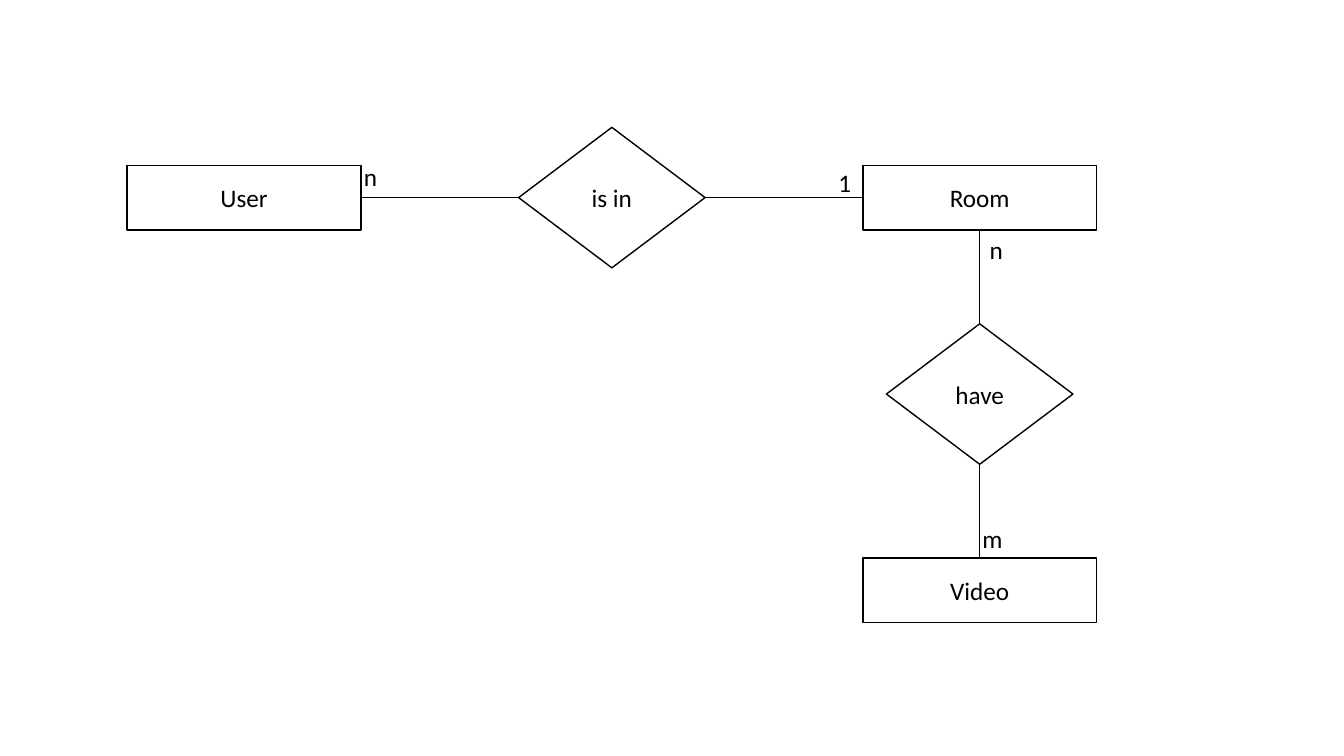
from dataclasses import dataclass

from lxml.etree import SubElement
from pptx import Presentation
from pptx.dml.color import RGBColor
from pptx.enum.shapes import MSO_CONNECTOR, MSO_SHAPE
from pptx.enum.text import MSO_ANCHOR, PP_ALIGN
from pptx.oxml.ns import qn
from pptx.shapes.autoshape import Shape
from pptx.shapes.shapetree import SlideShapes
from pptx.text.text import TextFrame
from pptx.util import Cm, Pt

BLACK = RGBColor(0x00, 0x00, 0x00)
WHITE = RGBColor(0xFF, 0xFF, 0xFF)

# Centres of the diagram's columns and rows, in cm
COLUMNS = [6.15 + 9.27 * column for column in range(3)]
ROWS = [4.98 + 4.95 * row for row in range(3)]
TOP, LEFT, BOTTOM, RIGHT = range(4)  # connection sites

FONT_FORMAT = {"name": "Calibri", "size": Pt(18)}
NODE_FRAME = {"word_wrap": True, "vertical_anchor": MSO_ANCHOR.MIDDLE}
CARDINALITY_FRAME = {
    "word_wrap": True,
    "vertical_anchor": MSO_ANCHOR.TOP,
    "margin_left": Cm(0.07),
    "margin_right": Cm(0),
}


@dataclass(frozen=True)
class NodeKind:
    """Outline and size in cm shared by nodes of one kind."""
    outline: MSO_SHAPE
    width: float
    height: float


@dataclass(frozen=True)
class Node:
    """An entity or relationship at a grid position."""
    name: str
    kind: NodeKind
    column: int
    row: int


@dataclass(frozen=True)
class Link:
    """A line between the connection sites of two nodes."""
    start: str
    start_site: int
    end: str
    end_site: int


@dataclass(frozen=True)
class Cardinality:
    """A multiplicity mark with its top left corner in cm."""
    mark: str
    left: float
    top: float


ENTITY = NodeKind(MSO_SHAPE.RECTANGLE, 5.89, 1.63)
RELATIONSHIP = NodeKind(MSO_SHAPE.DIAMOND, 4.7, 3.54)

NODES = [
    Node("User", ENTITY, 0, 0),
    Node("is in", RELATIONSHIP, 1, 0),
    Node("Room", ENTITY, 2, 0),
    Node("have", RELATIONSHIP, 2, 1),
    Node("Video", ENTITY, 2, 2),
]
LINKS = [
    Link("User", RIGHT, "is in", LEFT),
    Link("is in", RIGHT, "Room", LEFT),
    Link("have", TOP, "Room", BOTTOM),
    Link("Video", TOP, "have", BOTTOM),
]
CARDINALITIES = [
    Cardinality("n", 9.1, 3.95),
    Cardinality("1", 21.06, 4.1),
    Cardinality("n", 24.87, 5.79),
    Cardinality("m", 24.69, 13.06),
]


def apply_format(target: object, values: dict[str, object]) -> None:
    """Set every attribute listed in values on target."""
    for attribute, value in values.items():
        setattr(target, attribute, value)


def write_text(frame: TextFrame, text: str, alignment: PP_ALIGN,
               frame_format: dict[str, object]) -> None:
    """Write one formatted paragraph into a text frame."""
    apply_format(frame, frame_format)
    paragraph = frame.paragraphs[0]
    paragraph.alignment = alignment
    run = paragraph.add_run()
    run.text = text
    apply_format(run.font, FONT_FORMAT)
    run.font.color.rgb = BLACK


def draw_node(shapes: SlideShapes, node: Node) -> Shape:
    """Draw a node centred on its grid position."""
    kind = node.kind
    drawn = shapes.add_shape(
        kind.outline,
        Cm(COLUMNS[node.column] - kind.width / 2),
        Cm(ROWS[node.row] - kind.height / 2),
        Cm(kind.width), Cm(kind.height))
    drawn.shadow.inherit = False
    drawn.fill.solid()
    drawn.fill.fore_color.rgb = WHITE
    drawn.line.color.rgb = BLACK
    drawn.line.width = Pt(1)
    write_text(drawn.text_frame, node.name, PP_ALIGN.CENTER, NODE_FRAME)
    return drawn


def draw_link(shapes: SlideShapes, link: Link, drawn: dict[str, Shape]) -> None:
    """Join two drawn nodes with a thin line."""
    line = shapes.add_connector(MSO_CONNECTOR.STRAIGHT, 0, 0, 0, 0)
    line.begin_connect(drawn[link.start], link.start_site)
    line.end_connect(drawn[link.end], link.end_site)
    line.line.color.rgb = BLACK
    line.line.width = Pt(0.5)
    SubElement(line._element.spPr, qn("a:effectLst"))


def draw_cardinality(shapes: SlideShapes, cardinality: Cardinality) -> None:
    """Write a multiplicity mark beside a link."""
    label = shapes.add_textbox(Cm(cardinality.left), Cm(cardinality.top),
                               Cm(0.36), Cm(1.02))
    write_text(label.text_frame, cardinality.mark, PP_ALIGN.LEFT,
               CARDINALITY_FRAME)


def main() -> None:
    """Build and save the entity relationship slide."""
    presentation = Presentation()
    presentation.slide_width = Cm(33.87)
    presentation.slide_height = Cm(19.05)
    shapes = presentation.slides.add_slide(presentation.slide_layouts[6]).shapes
    drawn = {node.name: draw_node(shapes, node) for node in NODES}
    for link in LINKS:
        draw_link(shapes, link, drawn)
    for cardinality in CARDINALITIES:
        draw_cardinality(shapes, cardinality)
    presentation.save("out.pptx")


main()
